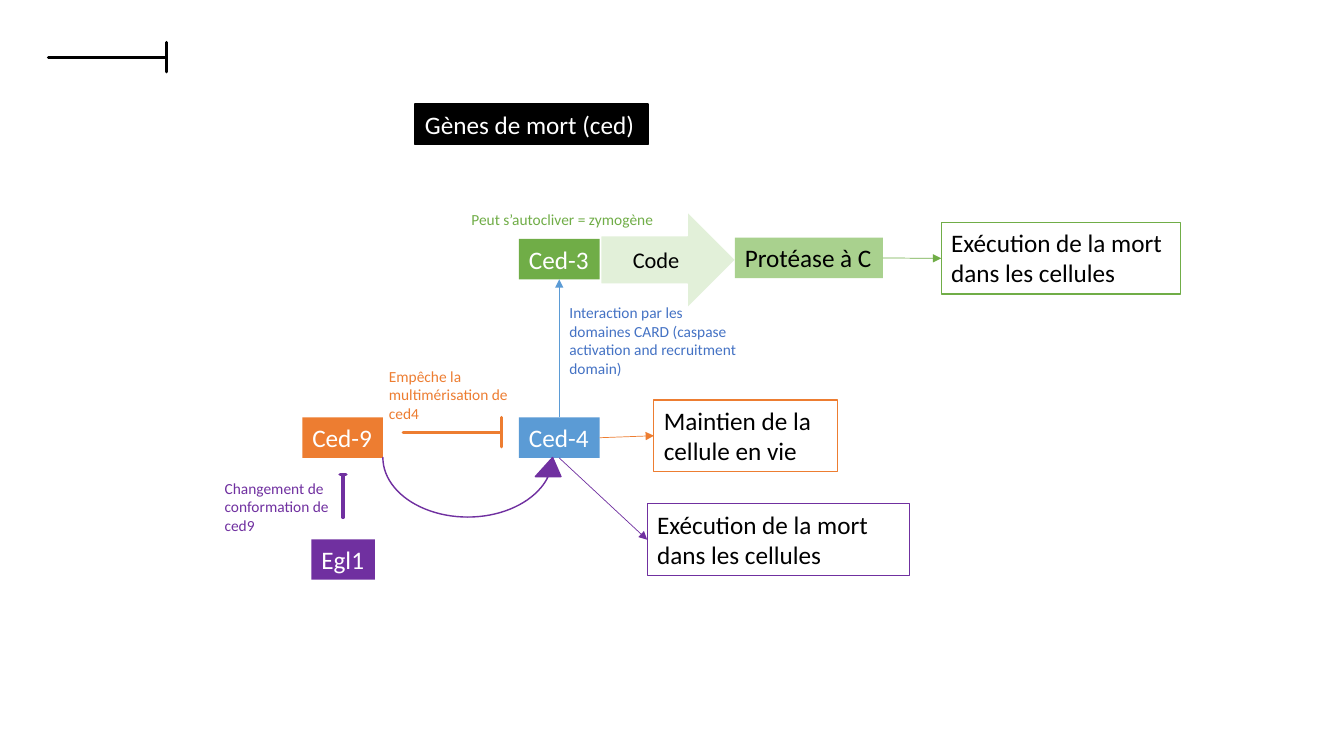
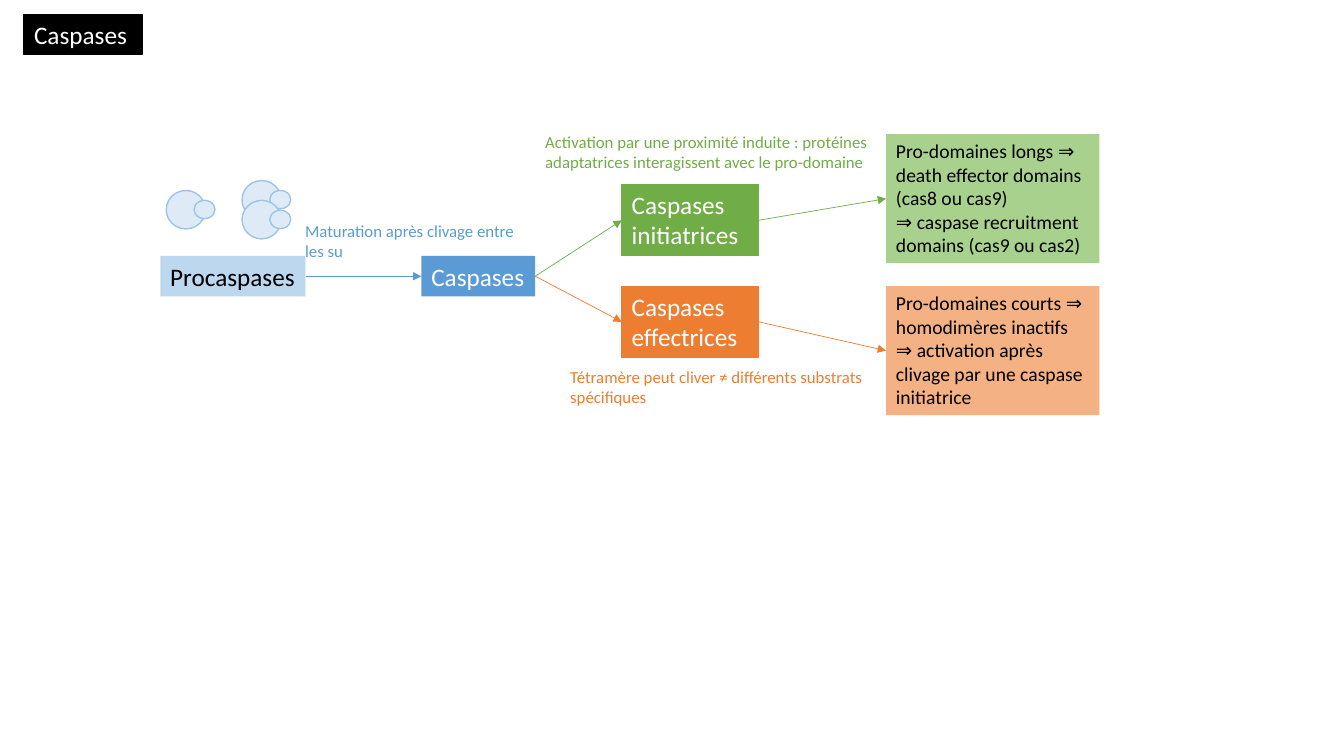
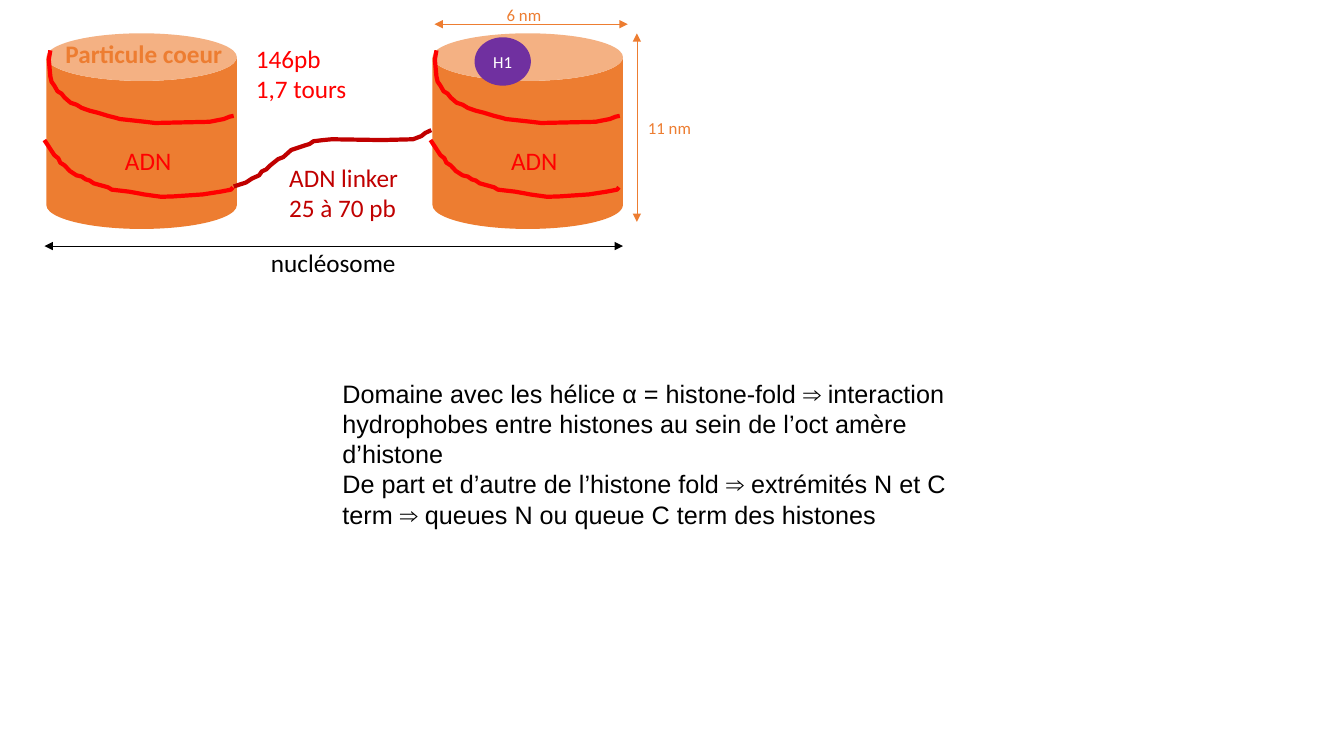
"""Build three slides on death genes, caspases and the nucleosome."""
from dataclasses import dataclass
from typing import Optional

from lxml.etree import SubElement
from pptx import Presentation
from pptx.dml.color import RGBColor
from pptx.enum.shapes import MSO_CONNECTOR as Route, MSO_SHAPE as Preset
from pptx.enum.text import MSO_ANCHOR as Anchor, MSO_AUTO_SIZE as AutoSize, PP_ALIGN as Align
from pptx.oxml.ns import qn
from pptx.shapes.autoshape import Shape
from pptx.shapes.connector import Connector
from pptx.slide import Slide
from pptx.util import Cm, Pt

Box = tuple[float, float, float, float]
Point = tuple[float, float]
Trace = tuple[tuple[int, int], ...]
TOP, LEFT, BOTTOM, RIGHT = range(4)


@dataclass(frozen=True)
class Theme:
    """Colours, fonts, type sizes and line widths."""
    black: str = "000000"
    white: str = "FFFFFF"
    green: str = "70AD47"
    soft_green: str = "A9D18E"
    pale_green: str = "E2F0D9"
    blue: str = "5B9BD5"
    deep_blue: str = "4472C4"
    mid_blue: str = "9DC3E6"
    soft_blue: str = "BDD7EE"
    pale_blue: str = "DEEBF7"
    orange: str = "ED7D31"
    soft_orange: str = "F4B183"
    purple: str = "7030A0"
    red: str = "FF0000"
    dark_red: str = "C00000"
    font: str = "Calibri"
    prose_font: str = "Arial"
    body: int = 18
    code: int = 16
    detail: int = 14
    remark: int = 12
    note: int = 11
    hairline: float = 0.5
    frame: float = 0.75
    outline: float = 1
    bar: float = 2.25
    strand: float = 3


THEME = Theme()


@dataclass(frozen=True)
class Label:
    """A box or shape with its words and style."""
    words: str
    box: Box
    fill: Optional[str] = None
    line: Optional[str] = None
    ink: str = THEME.black
    size: int = THEME.body
    weight: float = THEME.frame
    wrap: bool = True
    preset: Preset = Preset.RECTANGLE
    centred: bool = False
    bold: bool = False
    font: str = THEME.font


def colour(code: str) -> RGBColor:
    """Turn a hex code into a colour."""
    return RGBColor.from_string(code)


def paint(shape: Shape, fill: Optional[str], line: Optional[str], weight: float) -> None:
    """Set fill and outline, and remove the shadow."""
    shape.shadow.inherit = False
    if fill:
        shape.fill.solid()
        shape.fill.fore_color.rgb = colour(fill)
    else:
        shape.fill.background()
    if line:
        shape.line.color.rgb = colour(line)
        shape.line.width = Pt(weight)
    else:
        shape.line.fill.background()


def draw_shape(slide: Slide, preset: Preset, box: Box, fill: Optional[str],
               line: Optional[str] = None, weight: float = THEME.outline) -> Shape:
    """Draw a preset shape without words."""
    shape = slide.shapes.add_shape(preset, *map(Cm, box))
    paint(shape, fill, line, weight)
    return shape


def write(shape: Shape, label: Label) -> None:
    """Write the words of a label into a shape."""
    frame = shape.text_frame
    frame.text = label.words
    frame.word_wrap = label.wrap
    frame.vertical_anchor = Anchor.MIDDLE if label.centred else Anchor.TOP
    frame.auto_size = AutoSize.NONE if label.centred else AutoSize.SHAPE_TO_FIT_TEXT
    for paragraph in frame.paragraphs:
        paragraph.alignment = Align.CENTER if label.centred else Align.LEFT
        paragraph.font.name = label.font
        paragraph.font.size = Pt(label.size)
        paragraph.font.bold = label.bold
        paragraph.font.color.rgb = colour(label.ink)


def draw_label(slide: Slide, label: Label) -> Shape:
    """Draw a label as a shape, or as a text box when it has no paint."""
    if label.fill or label.line:
        shape = draw_shape(slide, label.preset, label.box, label.fill, label.line, label.weight)
    else:
        shape = slide.shapes.add_textbox(*map(Cm, label.box))
    write(shape, label)
    return shape


def draw_heading(slide: Slide, words: str, box: Box, wrap: bool) -> None:
    """Draw the black heading of a slide."""
    draw_label(slide, Label(words, box, THEME.black, THEME.black, THEME.white,
                            weight=THEME.outline, wrap=wrap))


def draw_tag(slide: Slide, words: str, box: Box, fill: str, ink: str = THEME.white) -> Shape:
    """Draw a filled one-line tag."""
    return draw_label(slide, Label(words, box, fill, ink=ink, wrap=False))


def draw_outcome(slide: Slide, words: str, box: Box, line: str) -> Shape:
    """Draw a framed outcome box."""
    return draw_label(slide, Label(words, box, line=line))


def draw_arrow(slide: Slide, start: Point, end: Point, ink: str, both: bool = False) -> Connector:
    """Draw a thin straight arrow, with one head or two."""
    arrow = slide.shapes.add_connector(Route.STRAIGHT, *map(Cm, (*start, *end)))
    arrow.line.color.rgb = colour(ink)
    arrow.line.width = Pt(THEME.hairline)
    properties = arrow.element.spPr
    stroke = properties.find(qn("a:ln"))
    for tip in ("a:headEnd", "a:tailEnd") if both else ("a:tailEnd",):
        SubElement(stroke, qn(tip), type="triangle")
    SubElement(properties, qn("a:effectLst"))
    return arrow


def link(slide: Slide, source: Shape, target: Shape, ink: str,
         leave: int = RIGHT, enter: int = LEFT) -> None:
    """Join two boxes with an arrow."""
    arrow = draw_arrow(slide, (0, 0), (1, 1), ink)
    arrow.begin_connect(source, leave)
    arrow.end_connect(target, enter)


def draw_inhibition(slide: Slide, box: Box, ink: str, rotation: float = 0) -> None:
    """Draw a line that ends in a crossbar."""
    bar = draw_shape(slide, Preset.RIGHT_ARROW, box, THEME.white, ink, THEME.bar)
    bar.adjustments[0] = bar.adjustments[1] = 0
    bar.rotation = rotation


def draw_strand(slide: Slide, trace: Trace, ink: str, shift: int = 0) -> None:
    """Draw a DNA strand through points in hundredths of a centimetre."""
    points = [(x + shift, y) for x, y in trace]
    builder = slide.shapes.build_freeform(*points[0], scale=Cm(0.01))
    builder.add_line_segments(points[1:], close=False)
    paint(builder.convert_to_shape(), None, ink, THEME.strand)


def build_death_genes(slide: Slide) -> None:
    """Draw the ced gene pathway."""
    t = THEME
    ced3 = draw_tag(slide, "Ced-3", (13.08, 6.02, 2.03, 1.02), t.green)
    draw_label(slide, Label("Code", (15.14, 5.33, 3.4, 2.44), t.pale_green, t.white, size=t.code,
                            weight=t.outline, preset=Preset.RIGHT_ARROW, centred=True))
    protease = draw_tag(slide, "Protéase à C", (18.52, 5.99, 3.73, 1.02), t.soft_green, t.black)
    execution = "Exécution de la mort dans les cellules"
    death = draw_outcome(slide, execution, (23.72, 5.61, 6.02, 1.8), t.green)
    ced4 = draw_tag(slide, "Ced-4", (13.08, 10.52, 2.03, 1.02), t.blue)
    draw_tag(slide, "Ced-9", (7.62, 10.52, 2.03, 1.02), t.orange)
    survival = draw_outcome(slide, "Maintien de la cellule en vie", (16.48, 10.08, 4.62, 1.8), t.orange)
    draw_tag(slide, "Egl1", (7.85, 13.59, 1.6, 1.02), t.purple)

    draw_inhibition(slide, (10.16, 10.52, 2.49, 0.74), t.orange)
    draw_inhibition(slide, (1.22, 1.07, 2.97, 0.74), t.black)
    draw_inhibition(slide, (8.1, 12.42, 1.09, 0.15), t.purple, 270)
    release = draw_shape(slide, Preset.CURVED_UP_ARROW, (9.65, 11.53, 4.6, 1.5), t.purple, t.purple)
    for index, ratio in enumerate((0, 0.43, 0.32)):
        release.adjustments[index] = ratio

    induced_death = draw_outcome(slide, execution, (16.31, 12.7, 6.6, 1.8), t.purple)
    link(slide, protease, death, t.green)
    link(slide, ced4, survival, t.orange)
    link(slide, ced4, induced_death, t.purple, leave=BOTTOM)
    link(slide, ced4, ced3, t.blue, leave=TOP, enter=BOTTOM)

    for words, box, ink in (
        ("Empêche la multimérisation de ced4", (9.55, 9.12, 3.63, 1.68), t.orange),
        ("Changement de conformation de ced9", (5.41, 11.94, 3.35, 1.68), t.purple),
        ("Interaction par les domaines CARD (caspase activation and recruitment domain)",
         (14.1, 7.52, 4.83, 2.13), t.deep_blue),
        ("Peut s’autocliver = zymogène", (11.63, 5.18, 5.44, 0.74), t.green),
    ):
        draw_label(slide, Label(words, box, ink=ink, size=t.note))
    draw_heading(slide, "Gènes de mort (ced)", (10.46, 2.62, 5.87, 1.02), wrap=False)


def build_caspases(slide: Slide) -> None:
    """Draw the maturation and the two families of caspases."""
    t = THEME
    draw_heading(slide, "Caspases", (0.61, 0.36, 2.97, 1.02), wrap=True)
    procaspases = draw_tag(slide, "Procaspases", (4.04, 6.45, 3.66, 1.02), t.soft_blue, t.black)
    caspases = draw_tag(slide, "Caspases", (10.62, 6.45, 2.87, 1.02), t.blue)
    link(slide, procaspases, caspases, t.blue)

    for left, top in ((4.19, 4.8), (6.1, 4.55), (6.1, 5.05)):
        for subunit in ((left, top, 0.99, 0.97), (left + 0.7, top + 0.25, 0.53, 0.46)):
            draw_shape(slide, Preset.FLOWCHART_CONNECTOR, subunit, t.pale_blue, t.mid_blue)

    for family, family_top, domains, domains_top, ink, tint in (
        ("Caspases initiatrices", 4.65,
         "Pro-domaines longs ⇒ death effector domains (cas8 ou cas9)\n"
         "⇒ caspase recruitment domains (cas9 ou cas2)", 3.38, t.green, t.soft_green),
        ("Caspases effectrices", 7.21,
         "Pro-domaines courts ⇒ homodimères inactifs\n"
         "⇒ activation après clivage par une caspase initiatrice", 7.21, t.orange, t.soft_orange),
    ):
        group = draw_label(slide, Label(family, (15.67, family_top, 3.45, 1.8), ink, ink, t.white))
        features = draw_label(slide, Label(domains, (22.33, domains_top, 5.38, 3.25), tint,
                                           size=t.detail))
        link(slide, caspases, group, ink)
        link(slide, group, features, ink)

    for words, box, ink in (
        ("Maturation après clivage entre les su", (7.44, 5.44, 6.3, 1.27), t.blue),
        ("Activation par une proximité induite : protéines adaptatrices interagissent avec le "
         "pro-domaine", (13.49, 3.2, 8.81, 1.27), t.green),
        ("Tétramère peut cliver ≠ différents substrats spécifiques",
         (14.12, 9.12, 8.2, 1.27), t.orange),
    ):
        draw_label(slide, Label(words, box, ink=ink, size=t.remark))


UPPER_TURN: Trace = (
    (127, 127), (123, 150), (127, 193), (130, 206), (137, 216), (145, 230), (155, 236), (163, 246),
    (178, 259), (193, 264), (206, 272), (226, 279), (246, 284), (272, 292), (292, 297), (302, 300),
    (366, 307), (391, 310), (528, 307), (564, 300), (579, 294), (589, 292))
LOWER_TURN: Trace = (
    (112, 353), (137, 391), (147, 399), (152, 410), (163, 417), (176, 431), (193, 442), (206, 445),
    (216, 452), (226, 455), (236, 462), (272, 472), (282, 478), (325, 483), (353, 488), (363, 490),
    (406, 496), (437, 495), (511, 490), (556, 483), (582, 478), (587, 472))
LINKER: Trace = (
    (589, 470), (620, 460), (635, 450), (653, 442), (660, 432), (671, 427), (681, 417), (701, 401),
    (714, 396), (734, 378), (770, 366), (780, 363), (790, 356), (815, 353), (836, 351), (963, 353),
    (1041, 351), (1062, 343), (1072, 335), (1087, 328))


def build_nucleosome(slide: Slide) -> None:
    """Draw two core particles joined by linker DNA."""
    t = THEME
    for shift in (0, 9.73):
        draw_shape(slide, Preset.CAN, (1.17 + shift, 0.84, 4.8, 4.93), t.orange)
        for turn in (UPPER_TURN, LOWER_TURN):
            draw_strand(slide, turn, t.red, round(shift * 100))
        draw_label(slide, Label("ADN", (2.9 + shift, 3.53, 1.7, 1.02), ink=t.red, wrap=False))
    draw_strand(slide, LINKER, t.dark_red)

    for start, end, ink in (
        ((1.12, 6.2), (15.7, 6.2), t.black),
        ((10.95, 0.61), (15.82, 0.61), t.orange),
        ((16.05, 5.59), (16.05, 0.84), t.orange),
    ):
        draw_arrow(slide, start, end, ink, both=True)

    for label in (
        Label("Particule coeur", (1.4, 0.84, 4.5, 1.02), ink=t.orange, wrap=False, bold=True),
        Label("146pb\n1,7 tours", (6.2, 0.97, 2.82, 1.8), ink=t.red, wrap=False),
        Label("ADN linker 25 à 70 pb", (7.04, 3.96, 3.84, 1.8), ink=t.dark_red),
        Label("6 nm", (12.52, 0, 1.4, 0.76), ink=t.orange, size=t.remark, wrap=False),
        Label("nucléosome", (6.58, 6.1, 3.68, 1.02), wrap=False),
        Label("11 nm", (16.08, 2.84, 1.6, 0.76), ink=t.orange, size=t.remark, wrap=False),
        Label("H1", (11.96, 0.94, 1.42, 1.22), t.purple, ink=t.white, size=t.remark,
              preset=Preset.OVAL, centred=True),
        Label("Domaine avec les hélice α = histone-fold ⇒ interaction hydrophobes entre histones "
              "au sein de l’oct amère d’histone\n"
              "De part et d’autre de l’histone fold ⇒ extrémités N et C term ⇒ queues N ou queue C "
              "term des histones", (8.38, 9.4, 16.94, 4.06), font=t.prose_font),
    ):
        draw_label(slide, label)


def main() -> None:
    """Build and save the presentation."""
    deck = Presentation()
    deck.slide_width, deck.slide_height = Cm(33.87), Cm(19.05)
    blank = deck.slide_layouts[6]
    for build in (build_death_genes, build_caspases, build_nucleosome):
        build(deck.slides.add_slide(blank))
    deck.save("out.pptx")


if __name__ == "__main__":
    main()
